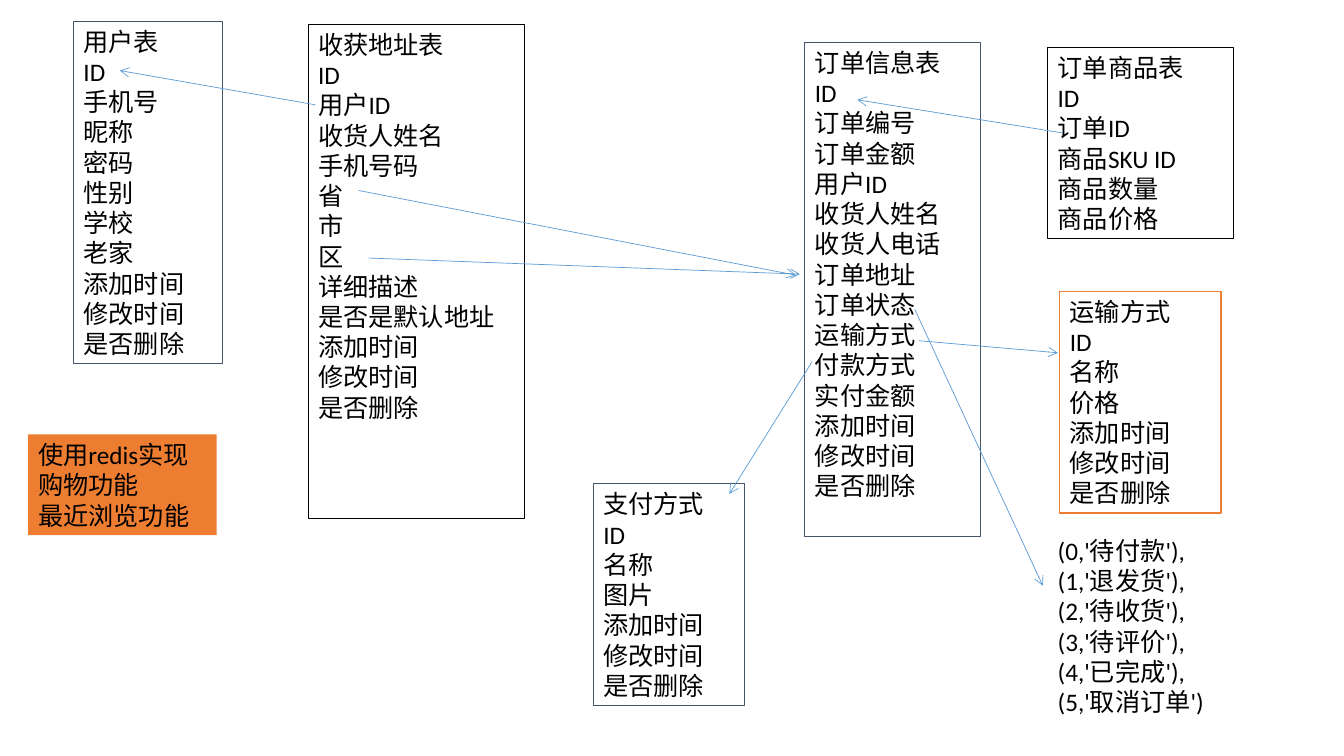
from dataclasses import dataclass

from lxml import etree
from pptx import Presentation
from pptx.dml.color import RGBColor
from pptx.enum.shapes import MSO_CONNECTOR, MSO_SHAPE
from pptx.enum.text import MSO_ANCHOR, MSO_AUTO_SIZE, PP_ALIGN
from pptx.oxml.ns import qn
from pptx.util import Emu, Pt

RECT = MSO_SHAPE.RECTANGLE
STRAIGHT = MSO_CONNECTOR.STRAIGHT
TOP, LEFT, FIXED = MSO_ANCHOR.TOP, PP_ALIGN.LEFT, MSO_AUTO_SIZE.NONE
SCALE = 9144  # EMU per px, 100 px to the inch


@dataclass(frozen=True)
class Theme:
    font: str = "Calibri"
    size: float = 18
    border: float = 0.75
    link: float = 0.5
    black: str = "000000"
    slate: str = "44546A"
    orange: str = "ED7D31"
    blue: str = "5B9BD5"


THEME = Theme()
STAMPS = ["添加时间", "修改时间", "是否删除"]

# left, top, width, height, border colour, rows
TABLES = [
    (73, 21, 148, 340, THEME.slate,
     ["用户表", "ID", "手机号", "昵称", "密码", "性别", "学校", "老家", *STAMPS]),
    (799, 42, 174, 490, THEME.slate,
     ["订单信息表", "ID", "订单编号", "订单金额", "用户ID", "收货人姓名",
      "收货人电话", "订单地址", "订单状态", "运输方式", "付款方式",
      "实付金额", *STAMPS]),
    (1040, 47, 184, 190, THEME.black,
     ["订单商品表", "ID", "订单ID", "商品SKU ID", "商品数量", "商品价格"]),
    (306, 24, 215, 490, THEME.black,
     ["收获地址表", "ID", "用户ID", "收货人姓名", "手机号码", "省", "市", "区",
      "详细描述", "是否是默认地址", *STAMPS]),
    (1052, 289, 160, 220, THEME.orange,
     ["运输方式", "ID", "名称", "价格", *STAMPS]),
    (589, 480, 150, 220, THEME.slate,
     ["支付方式", "ID", "名称", "图片", *STAMPS]),
]
STATES = ["(0,'待付款'),", "(1,'退发货'),", "(2,'待收货'),",
          "(3,'待评价'),", "(4,'已完成'),", "(5,'取消订单')"]
CACHE = ["使用redis实现", "购物功能", "最近浏览功能"]

# start x, start y, end x, end y
LINKS = [
    (1055, 132, 851, 99),
    (908, 307, 1035, 581),
    (912, 338, 1050, 350),
    (806, 359, 724, 490),
    (356, 189, 790, 273),
    (366, 256, 794, 272),
    (313, 104, 119, 70),
]


def px(*nums):
    return [Emu(n * SCALE) for n in nums]


def rgb(code):
    return RGBColor.from_string(code)


class Board:
    def __init__(self, slide, theme):
        self.shapes = slide.shapes
        self.theme = theme

    def label(self, shape, rows):
        """Put one paragraph per row, at the top left of the shape."""
        frame = shape.text_frame
        style = {"word_wrap": True, "auto_size": FIXED, "vertical_anchor": TOP}
        for name, value in style.items():
            setattr(frame, name, value)
        frame.text = "\n".join(rows)
        face = {"name": self.theme.font, "size": Pt(self.theme.size)}
        for para in frame.paragraphs:
            para.alignment = LEFT
            for name, value in face.items():
                setattr(para.font, name, value)
            para.font.color.rgb = rgb(self.theme.black)

    def box(self, area, rows, edge=None, fill=None):
        shape = self.shapes.add_shape(RECT, *px(*area))
        shape.shadow.inherit = False
        if fill:
            shape.fill.solid()
            shape.fill.fore_color.rgb = rgb(fill)
        else:
            shape.fill.background()
        if edge:
            shape.line.color.rgb = rgb(edge)
            shape.line.width = Pt(self.theme.border)
        else:
            shape.line.fill.background()
        self.label(shape, rows)

    def note(self, area, rows):
        self.label(self.shapes.add_textbox(*px(*area)), rows)

    def arrow(self, ends):
        link = self.shapes.add_connector(STRAIGHT, *px(*ends))
        link.line.color.rgb = rgb(self.theme.blue)
        link.line.width = Pt(self.theme.link)
        props = link._element.spPr
        etree.SubElement(props.find(qn("a:ln")), qn("a:tailEnd"), type="arrow")
        etree.SubElement(props, qn("a:effectLst"))


def main():
    deck = Presentation()
    deck.slide_width, deck.slide_height = px(1334, 750)
    board = Board(deck.slides.add_slide(deck.slide_layouts[6]), THEME)
    for *area, edge, rows in TABLES:
        board.box(area, rows, edge=edge)
    board.box((28, 431, 187, 100), CACHE, fill=THEME.orange)
    board.note((1040, 526, 212, 190), STATES)
    for ends in LINKS:
        board.arrow(ends)
    deck.save("out.pptx")


if __name__ == "__main__":
    main()
